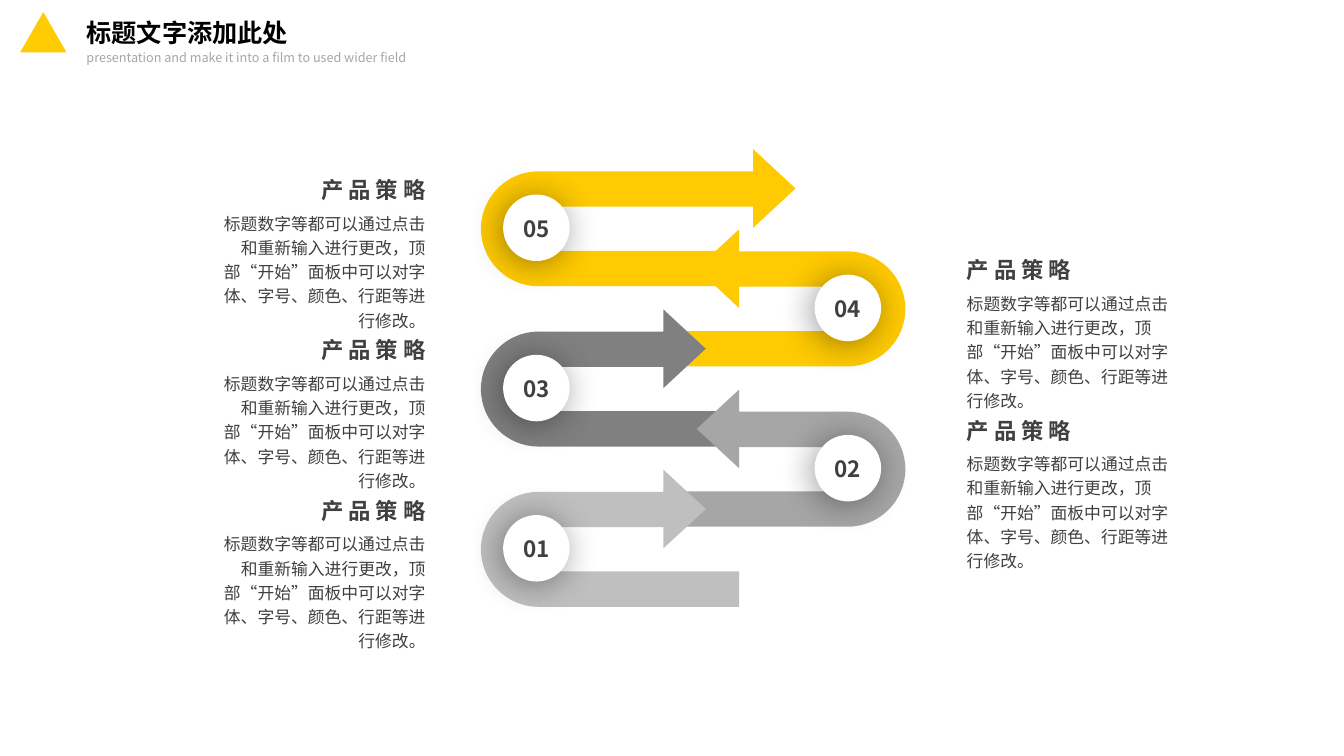
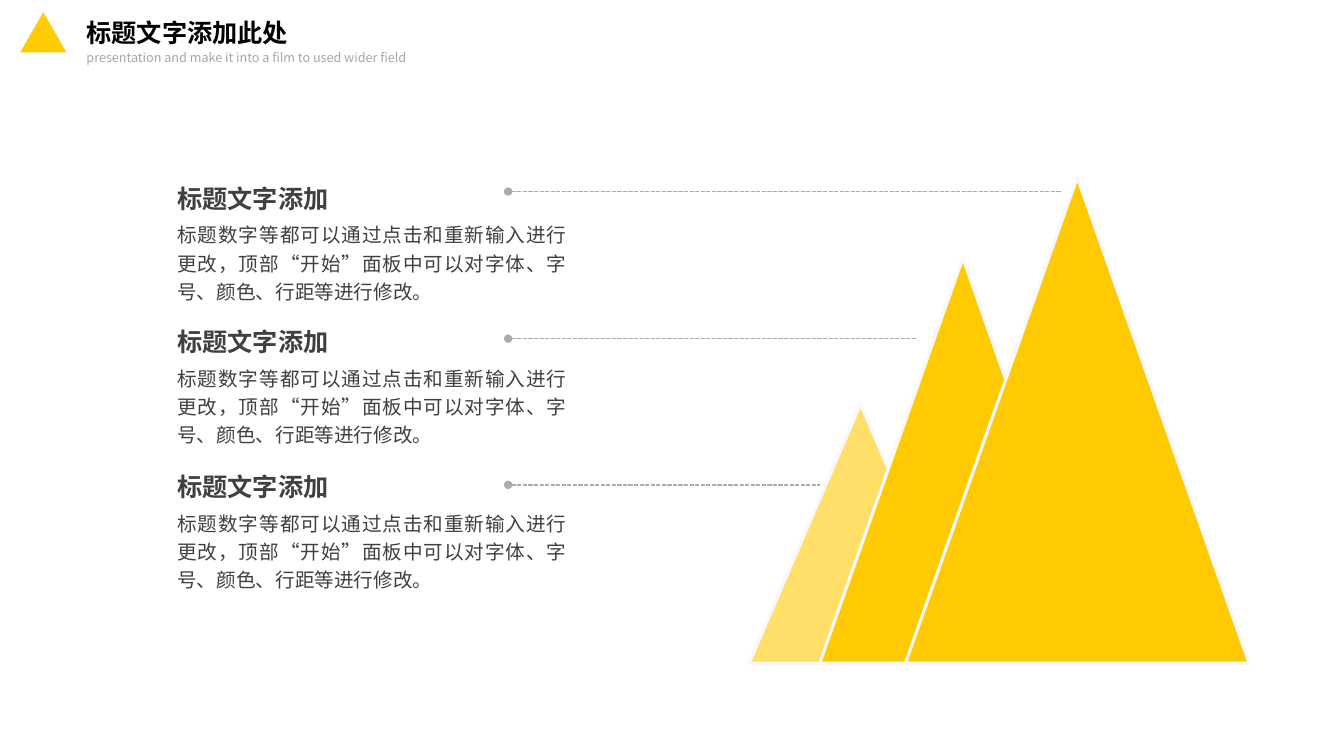
import pptx
import pptx.util
import pptx.dml.color
import pptx.enum.dml
import pptx.enum.lang
import pptx.enum.shapes
import pptx.enum.text
import pptx.oxml
import pptx.oxml.ns
from lxml import etree

Inches = pptx.util.Inches
Pt = pptx.util.Pt
SHAPE = pptx.enum.shapes.MSO_SHAPE
ALIGN = pptx.enum.text.PP_ALIGN
ANCHOR = pptx.enum.text.MSO_ANCHOR
qn = pptx.oxml.ns.qn

# ---- Content ----
FONT = "Noto Sans CJK SC"
COLORS = {
    "logo": "FFCB02", "yellow": "FFCA01", "pale": "FFDF67",
    "dark": "808080", "mid": "A6A6A6", "light": "BFBFBF",
    "text": "404040", "black": "000000", "white": "FFFFFF",
    "edge": "F8F8F8", "rule": "AFA9A9",
}
HEADING = "标题文字添加此处"
SUBHEADING = "presentation and make it into a film to used wider field"
BODY = ("标题数字等都可以通过点击和重新输入进行更改，"
        "顶部“开始”面板中可以对字体、字号、颜色、行距等进行修改。")

# Ribbon steps from top to bottom: number, title, colour, side, x of arrow base
STEPS = [
    ("05", "产 品 策 略", "yellow", "left", 7.47),
    ("04", "产 品 策 略", "yellow", "right", 7.33),
    ("03", "产 品 策 略", "dark", "left", 6.58),
    ("02", "产 品 策 略", "mid", "right", 7.33),
    ("01", "产 品 策 略", "light", "left", 6.58),
]
SIDES = {
    "left": {"dir": 1, "cx": 5.34, "disc": 4.99, "tail": 7.33,
             "title": 2.14, "body": 1.96, "align": ALIGN.RIGHT},
    "right": {"dir": -1, "cx": 8.41, "disc": 8.08, "tail": 6.58,
              "title": 9.49, "body": 9.49, "align": ALIGN.LEFT},
}
OUTER, INNER = 0.57, 0.22

# Peaks: left, top, width, colour
PEAKS = [(7.43, 4.01, 2.21, "pale"), (8.13, 2.56, 2.84, "yellow"),
         (8.98, 1.76, 3.41, "yellow")]
PEAK_BASE = 6.58
# Topics: title, top, leader height, leader end
TOPICS = [("标题文字添加", 1.71, 1.9, 10.52),
          ("标题文字添加", 3.13, 3.36, 9.09),
          ("标题文字添加", 4.57, 4.81, 8.13)]


# ---- Helpers ----
def rgb(name):
    return pptx.dml.color.RGBColor.from_string(COLORS[name])


def paint(sp, fill, edge=None):
    sp.shadow.inherit = False
    sp.fill.solid()
    sp.fill.fore_color.rgb = rgb(fill)
    if edge:
        sp.line.color.rgb = rgb(edge)
        sp.line.width = Pt(2.25)
    else:
        sp.line.fill.background()
    return sp


def add_preset(s, kind, x, y, w, h, fill, edge=None):
    sp = s.shapes.add_shape(kind, Inches(x), Inches(y), Inches(w), Inches(h))
    return paint(sp, fill, edge)


def add_text(s, x, y, w, h, text, size, color="text", bold=False,
             align=ALIGN.LEFT, spacing=None, wrap=True, anchor=ANCHOR.TOP):
    tf = s.shapes.add_textbox(Inches(x), Inches(y), Inches(w), Inches(h)).text_frame
    tf.word_wrap = wrap
    tf.auto_size = pptx.enum.text.MSO_AUTO_SIZE.SHAPE_TO_FIT_TEXT
    tf.vertical_anchor = anchor
    p = tf.paragraphs[0]
    p.alignment = align
    if spacing:
        p.line_spacing = spacing
    r = p.add_run()
    r.text = text
    r.font.size = Pt(size)
    r.font.bold = bold
    r.font.name = FONT
    r.font.color.rgb = rgb(color)
    r.font.language_id = pptx.enum.lang.MSO_LANGUAGE_ID.SIMPLIFIED_CHINESE
    etree.SubElement(r.font._element, qn("a:ea")).set("typeface", FONT)


def add_soft_shadow(sp):
    effects = sp._element.spPr.find(qn("a:effectLst"))
    shadow = etree.SubElement(effects, qn("a:outerShdw"), blurRad=str(Pt(25)),
                              dist=str(Pt(3)), dir=str(135 * 60000),
                              algn="tr", rotWithShape="0")
    color = etree.SubElement(shadow, qn("a:srgbClr"), val=COLORS["black"])
    etree.SubElement(color, qn("a:alpha"), val="40000")


def add_leader(s, x1, x2, y):
    line = s.shapes.add_connector(pptx.enum.shapes.MSO_CONNECTOR.STRAIGHT,
                                  Inches(x1), Inches(y), Inches(x2), Inches(y))
    line.line.color.rgb = rgb("rule")
    line.line.width = Pt(1)
    line.line.dash_style = pptx.enum.dml.MSO_LINE.SQUARE_DOT
    spPr = line._element.spPr
    etree.SubElement(spPr.find(qn("a:ln")), qn("a:headEnd"), type="oval")
    etree.SubElement(spPr, qn("a:effectLst"))


def add_outline(s, points, fill):
    points = [(Inches(x), Inches(y)) for x, y in points]
    fb = s.shapes.build_freeform(*points[0])
    fb.add_line_segments(points[1:], close=True)
    return paint(fb.convert_to_shape(), fill)


def round_corners(sp, leaving, arriving):
    """Turn segments, named by end point, into quarter circles.

    Those in leaving start level; those in arriving end level.
    """
    k = 0.55
    nodes = list(sp._element.iter(qn("a:moveTo"), qn("a:lnTo")))
    spots = [(int(n[0].get("x")), int(n[0].get("y"))) for n in nodes]
    for i in leaving + arriving:
        (x1, y1), (x2, y2) = spots[i - 1], spots[i]
        if i in leaving:
            controls = [(x1 + k * (x2 - x1), y1), (x2, y2 + k * (y1 - y2))]
        else:
            controls = [(x1, y1 + k * (y2 - y1)), (x2 + k * (x1 - x2), y2)]
        curve = etree.Element(qn("a:cubicBezTo"))
        for x, y in controls + [(x2, y2)]:
            etree.SubElement(curve, qn("a:pt"), x=str(round(x)), y=str(round(y)))
        nodes[i].getparent().replace(nodes[i], curve)


def add_ribbon(s, side, cy, base, fill):
    """U-shaped band with an arrowhead on its upper arm."""
    d, cx, tail = side["dir"], side["cx"], side["tail"]
    neck = base + d * 0.12
    band = add_outline(s, [
        (tail, cy + OUTER), (cx, cy + OUTER), (cx - d * OUTER, cy),
        (cx, cy - OUTER), (neck, cy - OUTER), (neck, cy - INNER),
        (cx, cy - INNER), (cx - d * INNER, cy), (cx, cy + INNER),
        (tail, cy + INNER)], fill)
    round_corners(band, leaving=[2, 7], arriving=[3, 8])
    mid, half = cy - 0.4, 0.39
    add_outline(s, [(base + d * 0.42, mid), (base, mid + half), (base, mid),
                    (base, mid - half)], fill)


def add_header(s):
    add_preset(s, SHAPE.ISOSCELES_TRIANGLE, 0.2, 0.12, 0.46, 0.4, "logo")
    add_text(s, 0.76, 0.12, 2.22, 0.4, HEADING, 18, wrap=False,
             color="black", bold=True)
    add_text(s, 0.76, 0.43, 4.23, 0.26, SUBHEADING, 9, color="mid", spacing=1.14)


# ---- Slides ----
def build_ribbon_slide(s):
    rows = [(2.27 + 0.795 * i, SIDES[step[3]], step) for i, step in enumerate(STEPS)]
    for cy, side, step in rows:
        top, align = cy - OUTER, side["align"]
        add_text(s, side["title"], top, 2.18, 0.37, step[1], 16, bold=True, align=align)
        add_text(s, side["body"], top + 0.33, 2.36, 1.3, BODY, 12,
                 align=align, spacing=1.2)
    for cy, side, step in rows:
        add_ribbon(s, side, cy, step[4], step[2])
    # Numbered discs lie over all ribbons
    for cy, side, step in rows:
        x, y, size = side["disc"], cy - 0.34, 0.66
        add_soft_shadow(add_preset(s, SHAPE.OVAL, x, y, size, size, "white"))
        add_text(s, x, y + 0.15, size, 0.37, step[0], 16, bold=True,
                 align=ALIGN.CENTER, anchor=ANCHOR.MIDDLE)


def build_peaks_slide(s):
    for x, y, w, fill in PEAKS:
        add_preset(s, SHAPE.ISOSCELES_TRIANGLE, x, y, w, PEAK_BASE - y, fill, "edge")
    for title, top, leader_y, leader_end in TOPICS:
        add_leader(s, 5.04, leader_end, leader_y)
        add_text(s, 1.66, top + 0.41, 4.06, 0.93, BODY, 14,
                 align=ALIGN.JUSTIFY, spacing=1.2)
        add_text(s, 1.66, top, 2.24, 0.44, title, 18, bold=True,
                 align=ALIGN.JUSTIFY, spacing=1.2)


def main():
    prs = pptx.Presentation()
    prs.slide_width, prs.slide_height = Inches(13.33), Inches(7.5)
    for build in (build_ribbon_slide, build_peaks_slide):
        s = prs.slides.add_slide(prs.slide_layouts[6])
        build(s)
        add_header(s)
    prs.save("out.pptx")


if __name__ == "__main__":
    main()
